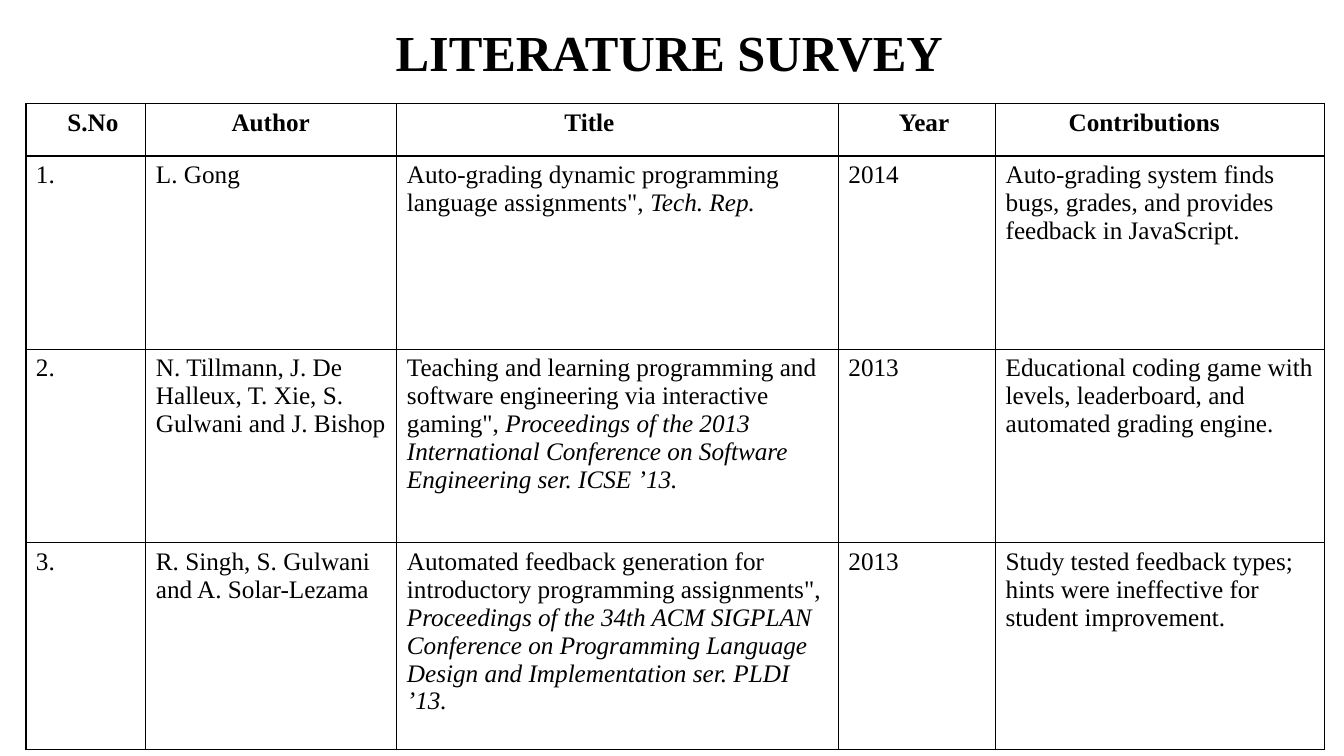
from dataclasses import dataclass

from lxml.etree import SubElement as Sub
from pptx import Presentation
from pptx.dml.color import RGBColor as Rgb
from pptx.enum.text import MSO_ANCHOR as Anchor
from pptx.oxml.ns import qn
from pptx.util import Pt


@dataclass(frozen=True)
class Theme:
    """Colours, font and sizes of the slide."""
    ink: str = "000000"
    font: str = "Times New Roman"
    head: float = 36
    body: float = 18
    rule: float = 1
    pad: float = 7.2


THEME = Theme()
COLS = (85.7, 179.3, 315.4, 112.3, 234.7)
ROWS = (37.4, 138.2, 138.2, 147.6)
HEADS = (("S.No", 22.5), ("Author", 54), ("Title", 112.5),
         ("Year", 36), ("Contributions", 45))
WORKS = (
    ("1.", "L. Gong",
     ("Auto-grading dynamic programming language assignments\", ",
      "Tech. Rep."),
     "2014",
     "Auto-grading system finds bugs, grades, and provides feedback in "
     "JavaScript."),
    ("2.", "N. Tillmann, J. De Halleux, T. Xie, S. Gulwani and J. Bishop",
     ("Teaching and learning programming and software engineering via "
      "interactive gaming\", ",
      "Proceedings of the 2013 International Conference on Software "
      "Engineering ser. ICSE ’13."),
     "2013",
     "Educational coding game with levels, leaderboard, and automated "
     "grading engine."),
    ("3.", "R. Singh, S. Gulwani and A. Solar-Lezama",
     ("Automated feedback generation for introductory programming "
      "assignments\", ",
      "Proceedings of the 34th ACM SIGPLAN Conference on Programming "
      "Language Design and Implementation ser. PLDI ’13."),
     "2013",
     "Study tested feedback types; hints were ineffective for student "
     "improvement."),
)


def style(run, size, bold=False, slant=False):
    """Give a run its font, size, weight and colour."""
    font = run.font
    font.name, font.size = THEME.font, Pt(size)
    font.bold, font.italic = bold, slant
    font.color.rgb = Rgb.from_string(THEME.ink)


def border(cell):
    """Rule all four sides of a cell and leave it unfilled."""
    props = cell._tc.get_or_add_tcPr()
    for side in ("lnL", "lnR", "lnT", "lnB"):
        line = Sub(props, qn(f"a:{side}"), w=str(Pt(THEME.rule)))
        Sub(Sub(line, qn("a:solidFill")), qn("a:srgbClr"), val=THEME.ink)
    cell.fill.background()


def fill(cell, text, indent=0, bold=False):
    """Write a cell whose second part, if any, is italic."""
    first, *rest = (text,) if isinstance(text, str) else text
    cell.text_frame.text = first
    para = cell.text_frame.paragraphs[0]
    for part in rest:
        para.add_run().text = part
    for num, run in enumerate(para.runs):
        style(run, THEME.body, bold, num > 0)
    cell.margin_left = Pt(THEME.pad + indent)
    border(cell)


def title(slide, left, top, width, height):
    """Place the slide title in the given box."""
    box = slide.shapes.add_textbox(Pt(left), Pt(top), Pt(width), Pt(height))
    frame = box.text_frame
    frame.word_wrap = True
    frame.vertical_anchor = Anchor.MIDDLE
    frame.margin_left = Pt(THEME.pad + 220)
    frame.margin_top = Pt(THEME.pad)
    frame.text = "LITERATURE SURVEY"
    style(frame.paragraphs[0].runs[0], THEME.head, bold=True)


def survey(slide, left, top):
    """Place the table of surveyed works from the given corner."""
    grid = slide.shapes.add_table(
        len(ROWS), len(COLS), Pt(left), Pt(top),
        Pt(sum(COLS)), Pt(sum(ROWS))).table
    grid.first_row = grid.horz_banding = False
    for col, width in zip(grid.columns, COLS):
        col.width = Pt(width)
    for row, height in zip(grid.rows, ROWS):
        row.height = Pt(height)
    for num, (text, indent) in enumerate(HEADS):
        fill(grid.cell(0, num), text, indent, bold=True)
    for row, work in enumerate(WORKS, 1):
        for col, text in enumerate(work):
            fill(grid.cell(row, col), text)


def main():
    """Build and save the slide."""
    deck = Presentation()
    deck.slide_width, deck.slide_height = Pt(960), Pt(540)
    slide = deck.slides.add_slide(deck.slide_layouts[6])
    title(slide, 55.4, -45.4, 864.7, 160.6)
    survey(slide, 18.5, 74)
    deck.save("out.pptx")


if __name__ == "__main__":
    main()
